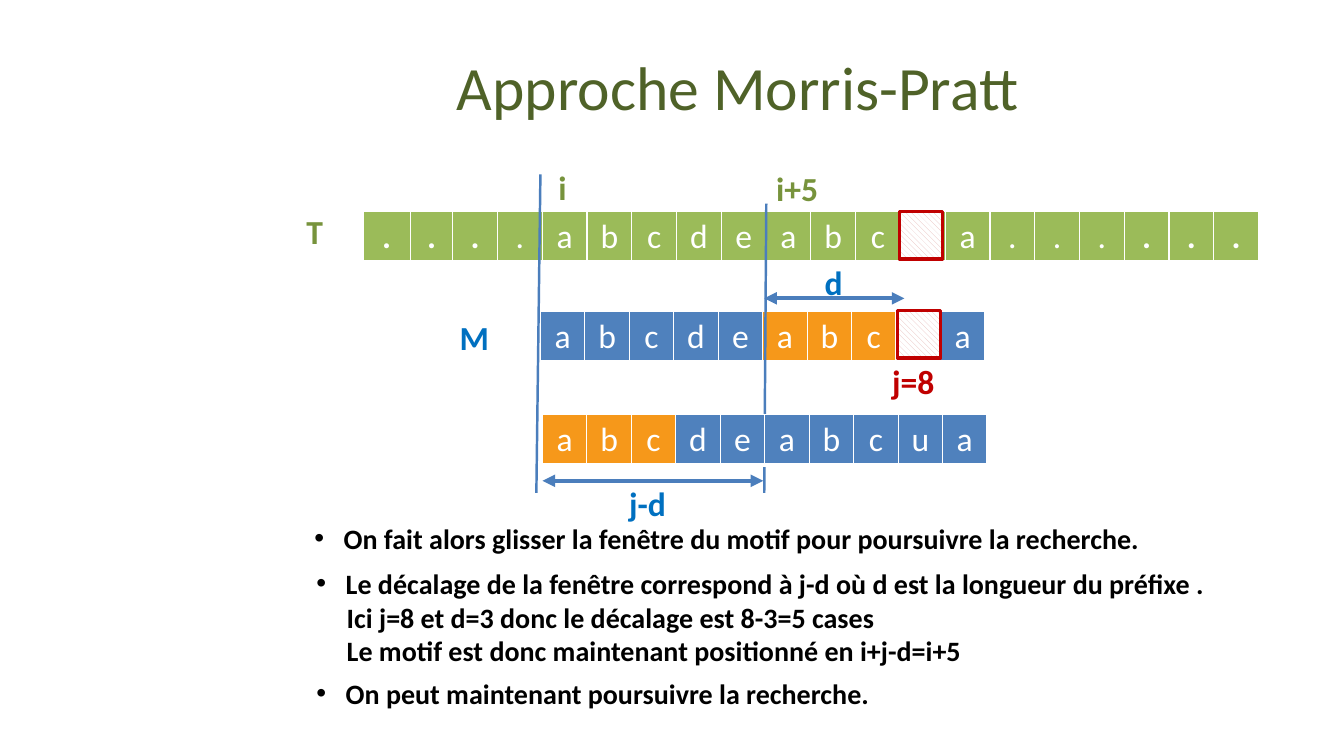
from lxml.etree import SubElement as Sub
from pptx import Presentation
from pptx.dml.color import RGBColor as RGB
from pptx.enum.dml import MSO_PATTERN as Pattern
from pptx.enum.shapes import MSO_CONNECTOR as Conn, MSO_SHAPE as Shape
from pptx.enum.text import MSO_ANCHOR as Anchor, PP_ALIGN as Align
from pptx.oxml.ns import qn
from pptx.util import Inches, Pt

WHITE, BLACK = RGB(255, 255, 255), RGB(0, 0, 0)
OLIVE, MOSS, LIME = RGB(0x4F, 0x62, 0x28), RGB(0x77, 0x93, 0x3C), RGB(0x9B, 0xBB, 0x59)
BLUE, STEEL, SKY = RGB(0x4F, 0x81, 0xBD), RGB(0x4B, 0x7E, 0xBC), RGB(0, 0x70, 0xC0)
ORANGE, RED, PINK = RGB(0xF6, 0x98, 0x1A), RGB(0xC0, 0, 0), RGB(0xE6, 0xB9, 0xB8)

TITLE = "Approche Morris-Pratt"
TEXT = "....abcdeabcda......"
WORD = "abcdeabcua"
STEP = 4.41 / len(WORD)
ROW = 0.5
BOLD_T = {0, 1, 2, 17, 18, 19}
PREFIX, REPEAT = {0, 1, 2}, {5, 6, 7}

# text, left, top, width, colour
LABELS = [
    ("T", 2.94, 2.04, 0.63, MOSS),
    ("M", 4.46, 3.09, 0.63, SKY),
    ("i", 5.44, 1.61, 0.63, MOSS),
    ("i+5", 7.6, 1.62, 0.63, MOSS),
    ("j=8", 8.75, 3.53, 0.78, RED),
    ("j-d", 6.14, 4.74, 1.22, SKY),
    ("d", 8.08, 2.55, 1.22, SKY),
]
MARKS = [((5.32, 4.89), (5.36, 1.73)), ((7.58, 4.89), (7.6, 2.02))]
SPANS = [((5.38, 4.77), (7.57, 4.77)), ((7.58, 2.96), (8.97, 2.96))]
MISSES = [(8.92, 2.1), (8.9, 3.08)]
# left, top, height, lines (the first one has a bullet)
NOTES = [
    (3.02, 5.12, 0.44, [
        "On fait alors glisser la fenêtre du motif pour poursuivre la recherche."]),
    (3.04, 5.57, 1.11, [
        "Le décalage de la fenêtre correspond à j-d où d est la longueur du préfixe .",
        "Ici j=8 et d=3 donc le décalage est 8-3=5 cases",
        "Le motif est donc maintenant positionné en i+j-d=i+5"]),
    (3.04, 6.66, 0.44, ["On peut maintenant poursuivre la recherche."]),
]

prs = Presentation()
prs.slide_width, prs.slide_height = Inches(13.33), Inches(7.5)
slide = prs.slides.add_slide(prs.slide_layouts[6])
shapes = slide.shapes


def style(para, size, color, bold=False):
    font = para.font
    font.name, font.size, font.bold = "Calibri", Pt(size), bold
    font.color.rgb = color


def box(left, top, width, height):
    frame = shapes.add_textbox(*map(Inches, (left, top, width, height))).text_frame
    frame.word_wrap = True
    return frame


def edge(cell):
    """Give the cell thin white borders and a thick white bottom."""
    props = cell._tc.get_or_add_tcPr()
    for side, width in (("L", 1), ("R", 1), ("T", 1), ("B", 3)):
        line = Sub(props, qn("a:ln" + side), w=str(Pt(width)))
        fill = Sub(line, qn("a:solidFill"))
        Sub(fill, qn("a:srgbClr"), val=str(WHITE))


def strip(left, top, word, widths, fill, marked=(), bold=()):
    """Draw a word as a one-row table, with the marked cells in orange."""
    table = shapes.add_table(1, len(word), Inches(left), Inches(top),
                             Inches(sum(widths)), Inches(ROW)).table
    for n, (char, width) in enumerate(zip(word, widths)):
        table.columns[n].width = Inches(width)
        cell = table.cell(0, n)
        edge(cell)
        cell.fill.solid()
        cell.fill.fore_color.rgb = ORANGE if n in marked else fill
        para = cell.text_frame.paragraphs[0]
        para.text, para.alignment = char, Align.CENTER
        style(para, 24, WHITE, n in bold)


def rule(start, end, width, arrows=False):
    line = shapes.add_connector(Conn.STRAIGHT, *map(Inches, start + end))
    line.line.color.rgb, line.line.width = STEEL, Pt(width)
    if arrows:
        for tip in ("a:headEnd", "a:tailEnd"):
            Sub(line.line._get_or_add_ln(), qn(tip), type="triangle")
    Sub(line._element.spPr, qn("a:effectLst"))


def miss(left, top):
    """Cover a mismatched letter with a hatched red frame."""
    rect = shapes.add_shape(Shape.RECTANGLE, *map(Inches, (left, top, 0.43, 0.47)))
    rect.shadow.inherit = False
    rect.fill.patterned()
    rect.fill.pattern = Pattern.WIDE_DOWNWARD_DIAGONAL
    rect.fill.fore_color.rgb, rect.fill.back_color.rgb = PINK, WHITE
    rect.line.color.rgb, rect.line.width = RED, Pt(2.5)


def note(left, top, height, lines):
    frame = box(left, top, 10.02, height)
    for n, line in enumerate(lines):
        para = frame.paragraphs[0] if n == 0 else frame.add_paragraph()
        para.text = line
        props = para._p.get_or_add_pPr()
        props.set("marL", str(Inches(0.3 if n else 0.29)))
        props.set("indent", str(0 if n else -Inches(0.29)))
        if n == 0:
            Sub(props, qn("a:buFont"), typeface="Arial")
            Sub(props, qn("a:buChar"), char="•")
        style(para, 20, BLACK, True)


head = box(2.82, 0.23, 9, 1.25)
head.vertical_anchor = Anchor.MIDDLE
head.paragraphs[0].text = TITLE
head.paragraphs[0].alignment = Align.CENTER
style(head.paragraphs[0], 44, OLIVE)

cols = [STEP] * len(WORD)
wide = [0.47, 0.42] + [8 / 18] * (len(TEXT) - 2)
strip(3.6, 2.1, TEXT, wide, LIME, bold=BOLD_T)
strip(5.36, 3.09, WORD, cols, BLUE, REPEAT)
for spot in MISSES:
    miss(*spot)
for start, end in MARKS:
    rule(start, end, 1.75)
strip(5.38, 4.11, WORD, cols, BLUE, PREFIX)
for start, end in SPANS:
    rule(start, end, 3, arrows=True)
for text, left, top, width, color in LABELS:
    para = box(left, top, width, ROW).paragraphs[0]
    para.text = text
    style(para, 24, color, True)
for item in NOTES:
    note(*item)

prs.save("out.pptx")
